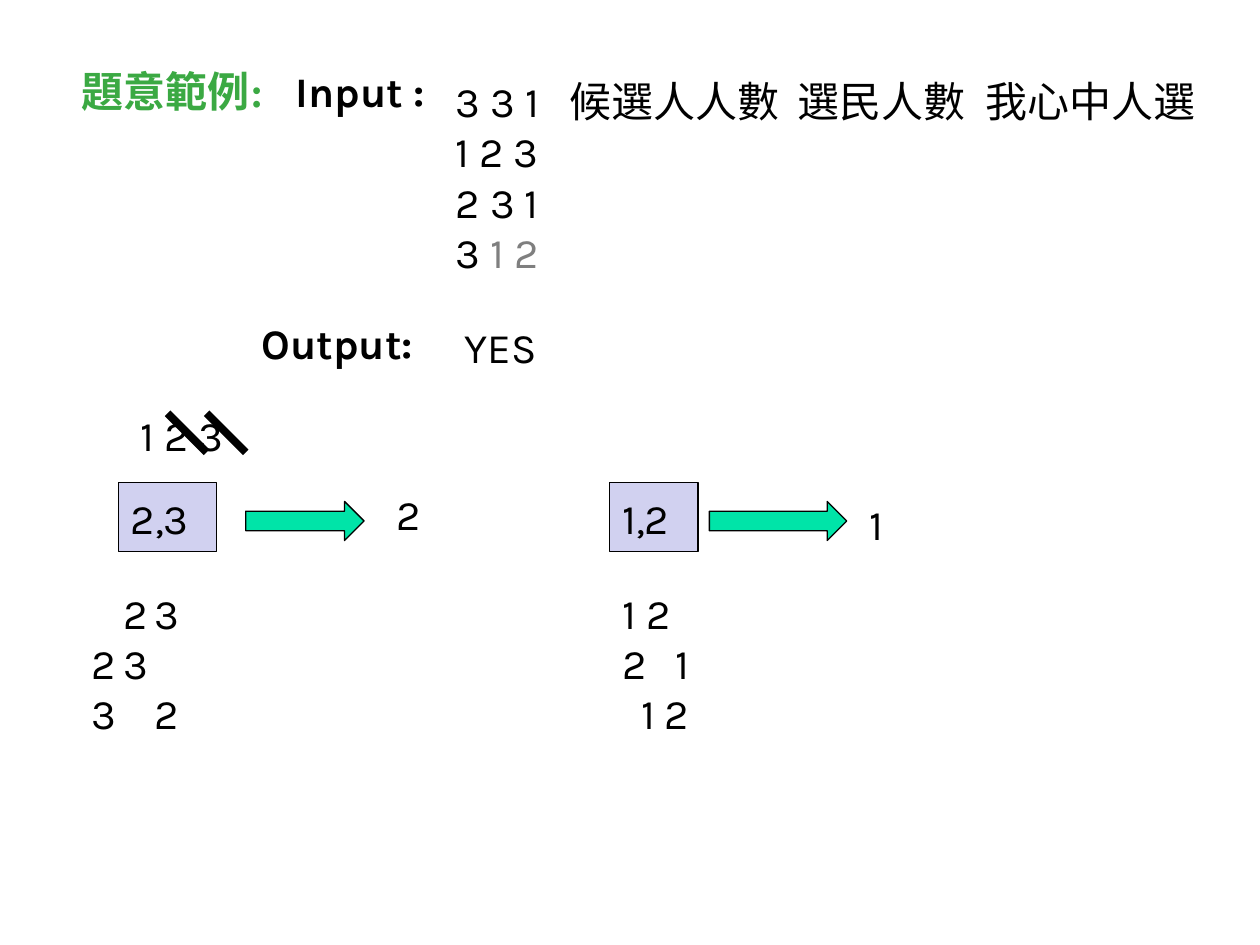
from lxml import etree
from pptx import Presentation
from pptx.dml.color import RGBColor
from pptx.enum.shapes import MSO_CONNECTOR, MSO_SHAPE
from pptx.enum.text import MSO_ANCHOR, MSO_AUTO_SIZE, PP_ALIGN
from pptx.oxml.ns import qn
from pptx.util import Inches, Pt

COLORS = {
    "text": "000000",
    "heading": "3BA943",
    "muted": "7F7F7F",
    "box": "D1D1F0",
    "arrow": "00E4A8",
}


def color(name):
    return RGBColor.from_string(COLORS[name])


def write(shape, lines, tabs=(), bold=False, font="Karla", ink="text"):
    """Fill a shape with left-aligned 24 pt lines, with tab stops in inches."""
    frame = shape.text_frame
    frame.auto_size = MSO_AUTO_SIZE.NONE
    frame.text = "\n".join(lines)
    for paragraph in frame.paragraphs:
        paragraph.alignment = PP_ALIGN.LEFT
        if tabs:
            tab_list = etree.SubElement(paragraph._p.get_or_add_pPr(), qn("a:tabLst"))
            for stop in tabs:
                etree.SubElement(tab_list, qn("a:tab"), pos=str(Inches(stop)), algn="l")
        for run in paragraph.runs:
            run.font.size = Pt(24)
            run.font.name = font
            run.font.bold = bold
            run.font.color.rgb = color(ink)


presentation = Presentation()
presentation.slide_width = Inches(10)
presentation.slide_height = Inches(7.5)
slide = presentation.slides.add_slide(presentation.slide_layouts[5])
shapes = slide.shapes

# Heading
title = shapes.title
title.left, title.top = Inches(0.55), Inches(0.47)
title.width, title.height = Inches(1.75), Inches(0.5)
write(title, ["題意範例:"], bold=True, font="Times New Roman", ink="heading")
title.text_frame.vertical_anchor = MSO_ANCHOR.TOP
title.text_frame.word_wrap = False

# Text boxes: left, top, width, height, lines, tab stops, bold
texts = [
    (2.25, 0.47, 1.3, 0.5, ["Input :"], (), True),
    (1.98, 2.47, 1.5, 0.5, ["Output:"], (), True),
    (3.59, 2.5, 0.78, 0.5, ["YES"], (), False),
    (1.02, 3.2, 1.33, 0.5, ["1 2 3"], (), False),
    (3.05, 3.83, 0.47, 0.5, ["2"], (), False),
    (6.8, 3.91, 0.23, 0.5, ["1"], (), False),
    (0.63, 4.61, 1.25, 1.3, ["\t2\t3", "2\t3", "3\t\t2"], (0.25, 0.5), False),
    (4.84, 4.61, 1.25, 1.3, ["1 2", "2\t1", "\t1 2"], (0.15, 0.42), False),
]
for left, top, width, height, lines, tabs, bold in texts:
    box = shapes.add_textbox(Inches(left), Inches(top), Inches(width), Inches(height))
    write(box, lines, tabs, bold)
    box.text_frame.word_wrap = len(lines) > 1

# Sample input, with the unread votes muted
sample = shapes.add_textbox(Inches(3.52), Inches(0.55), Inches(6.33), Inches(1.7))
sample_lines = ["3 3 1\t候選人人數\t選民人數\t我心中人選", "1 2 3", "2 3 1", "3 "]
write(sample, sample_lines, (0.9, 2.71, 4.2))
sample.text_frame.word_wrap = True
unread = sample.text_frame.paragraphs[-1].add_run()
unread.text = "1 2"
unread.font.size = Pt(24)
unread.font.name = "Karla"
unread.font.color.rgb = color("muted")

# Candidate pairs, each with an arrow to its winner
blocks = [
    (MSO_SHAPE.RECTANGLE, 0.94, 3.83, 0.78, 0.55, "box", "2,3"),
    (MSO_SHAPE.RIGHT_ARROW, 1.95, 3.98, 0.94, 0.31, "arrow", ""),
    (MSO_SHAPE.RECTANGLE, 4.84, 3.83, 0.7, 0.55, "box", "1,2"),
    (MSO_SHAPE.RIGHT_ARROW, 5.63, 3.98, 1.09, 0.31, "arrow", ""),
]
for kind, left, top, width, height, fill, label in blocks:
    block = shapes.add_shape(kind, Inches(left), Inches(top), Inches(width), Inches(height))
    block.shadow.inherit = False
    block.fill.solid()
    block.fill.fore_color.rgb = color(fill)
    block.line.color.rgb = color("text")
    block.line.width = Pt(0.75)
    if label:
        write(block, [label])
        block.text_frame.word_wrap = False
        block.text_frame.vertical_anchor = MSO_ANCHOR.MIDDLE

# Strokes crossing out the eliminated candidates
for left in (1.33, 1.64):
    stroke = shapes.add_connector(
        MSO_CONNECTOR.STRAIGHT,
        Inches(left), Inches(3.28), Inches(left + 0.31), Inches(3.59),
    )
    stroke.line.color.rgb = color("text")
    stroke.line.width = Pt(4.5)
    etree.SubElement(stroke._element.spPr, qn("a:effectLst"))

presentation.save("out.pptx")
